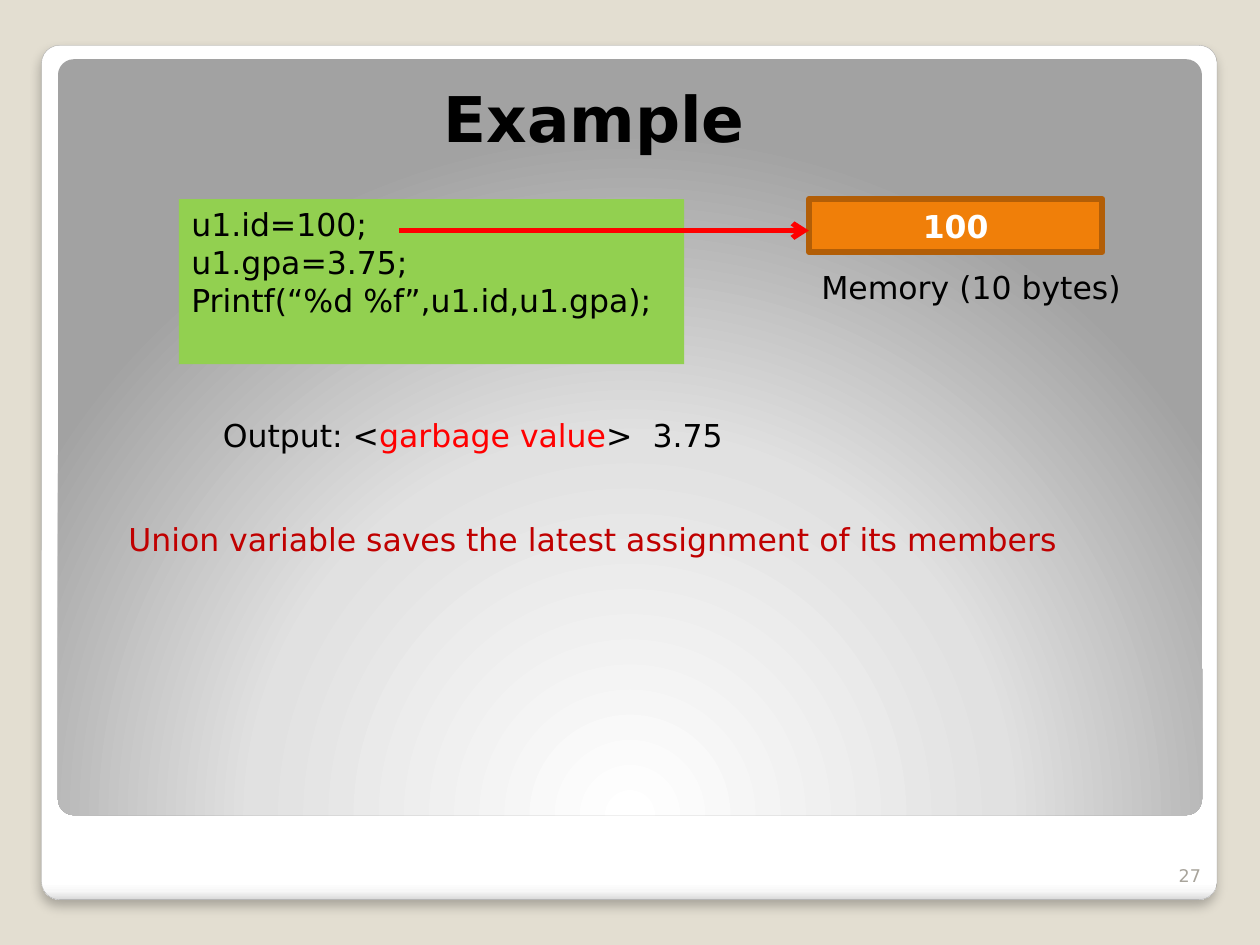
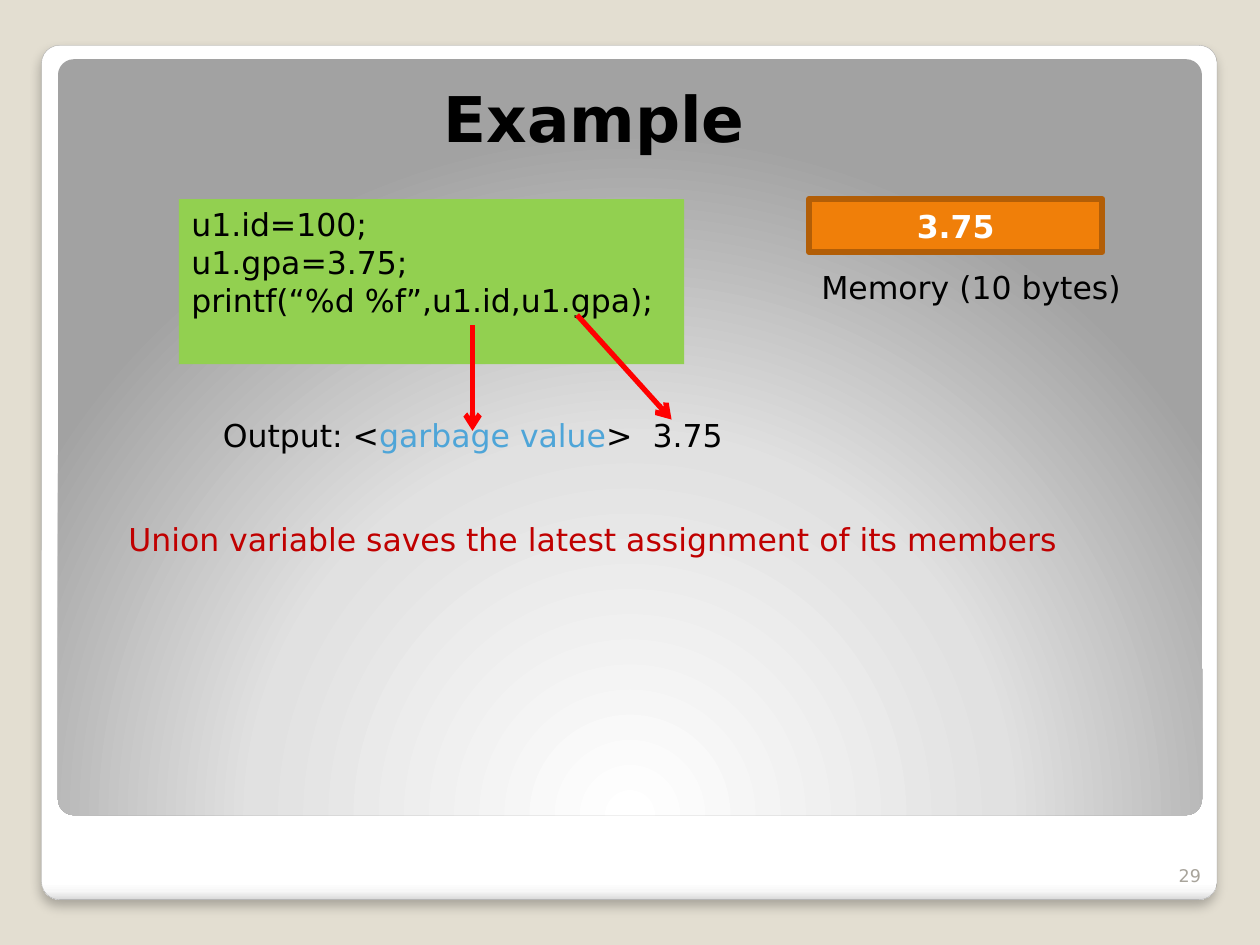
"""Build two example slides on how a union stores its members."""
from pptx import Presentation
from pptx.dml.color import RGBColor
from pptx.enum.shapes import MSO_CONNECTOR, MSO_SHAPE
from pptx.enum.text import MSO_ANCHOR, MSO_AUTO_SIZE, PP_ALIGN
from pptx.oxml import parse_xml
from pptx.oxml.ns import nsdecls, qn
from pptx.util import Inches, Pt

STRAIGHT = MSO_CONNECTOR.STRAIGHT
RECTANGLE, ROUNDED = MSO_SHAPE.RECTANGLE, MSO_SHAPE.ROUNDED_RECTANGLE
TOP, MIDDLE, BOTTOM = MSO_ANCHOR.TOP, MSO_ANCHOR.MIDDLE, MSO_ANCHOR.BOTTOM
LEFT, CENTER, RIGHT = PP_ALIGN.LEFT, PP_ALIGN.CENTER, PP_ALIGN.RIGHT
FIXED, GROW = MSO_AUTO_SIZE.NONE, MSO_AUTO_SIZE.SHAPE_TO_FIT_TEXT

FONT = "DejaVu Sans"
SAND = RGBColor(0xE3, 0xDE, 0xD1)
EDGE_GRAY = RGBColor(0xA4, 0xA4, 0xA4)
NUMBER_GRAY = RGBColor(0xA8, 0xA4, 0x9B)
BLACK = RGBColor(0, 0, 0)
WHITE = RGBColor(0xFF, 0xFF, 0xFF)
GREEN = RGBColor(0x92, 0xD0, 0x50)
ORANGE = RGBColor(0xF0, 0x7F, 0x09)
BROWN = RGBColor(0xB2, 0x5E, 0x07)
RED = RGBColor(0xFF, 0, 0)
DARK_RED = RGBColor(0xC0, 0, 0)
BLUE = RGBColor(0x4E, 0xA5, 0xD8)

CARD_STOPS = [(0, "FFFFFF"), (98, "FFFFFF"), (99, "F7F7F7"), (100, "DADADA")]
CARD_SHADE = '<a:lin ang="5400000" scaled="0"/>'
PANEL_STOPS = [(0, "FFFFFF"), (55, "E1E1E1"), (100, "A2A2A2")]
PANEL_SHADE = ('<a:path path="circle"><a:fillToRect l="50000" t="175000" '
               'r="50000" b="-75000"/></a:path>')
CARD_SHADOW = (f'<a:outerShdw {nsdecls("a")} blurRad="76200" dist="50800" '
               'dir="5400000" algn="tl" rotWithShape="0"><a:srgbClr val="000000">'
               '<a:alpha val="25000"/></a:srgbClr></a:outerShdw>')


def write(frame, lines, size=18, color=BLACK, bold=False, align=LEFT,
          anchor=TOP, wrap=False, fit=GROW):
    """Fill a frame with lines, each a text or a list of (text, color) spans."""
    frame.auto_size = fit
    frame.word_wrap = wrap
    frame.vertical_anchor = anchor
    for index, line in enumerate(lines):
        para = frame.add_paragraph() if index else frame.paragraphs[0]
        para.alignment = align
        spans = [(line, color)] if isinstance(line, str) else line
        for text, span_color in spans:
            span = para.add_run()
            span.text = text
            span.font.name = FONT
            span.font.size = Pt(size)
            span.font.bold = bold
            span.font.color.rgb = span_color


class Deck:
    """Holds the presentation, its shared style and the current page."""

    def __init__(self):
        self.presentation = Presentation()
        self.presentation.slide_width = Inches(10)
        self.presentation.slide_height = Inches(7.5)
        self.layout = self.presentation.slide_layouts.get_by_name("Title Only")
        self.page = None

    def decorate_layout(self):
        """Give the layout its background, card and panel."""
        fill = self.layout.background.fill
        fill.solid()
        fill.fore_color.rgb = SAND
        card = self.shape(ROUNDED, 0.33, 0.36, 9.33, 6.78, line=EDGE_GRAY, weight=0.16)
        panel = self.shape(ROUNDED, 0.46, 0.47, 9.08, 6)
        self.gradient(card, CARD_STOPS, CARD_SHADE)
        self.gradient(panel, PANEL_STOPS, PANEL_SHADE)
        effects = card.element.spPr.find(qn("a:effectLst"))
        effects.append(parse_xml(CARD_SHADOW))
        for position, shape in enumerate((card, panel), start=2):
            shape.adjustments[0] = 0.021
            self.layout.shapes.element.insert(position, shape.element)

    def gradient(self, shape, stops, shade):
        """Replace the empty fill of a shape by a gradient."""
        marks = "".join(f'<a:gs pos="{percent * 1000}"><a:srgbClr val="{color}"/></a:gs>'
                        for percent, color in stops)
        fill = parse_xml(f'<a:gradFill {nsdecls("a")} rotWithShape="1">'
                         f'<a:gsLst>{marks}</a:gsLst>{shade}</a:gradFill>')
        properties = shape.element.spPr
        properties.replace(properties.find(qn("a:noFill")), fill)

    def add_page(self, title, number):
        """Start a page with its title and page number."""
        first = self.page is None
        self.page = self.presentation.slides.add_slide(self.layout)
        if first:
            self.decorate_layout()
        heading = self.page.shapes.title
        heading.left, heading.top = Inches(3.42), Inches(0.58)
        heading.width, heading.height = Inches(2.62), Inches(0.71)
        write(heading.text_frame, [title], size=36, bold=True)
        self.text(9.13, 6.68, 0.5, 0.4, [number], size=10, color=NUMBER_GRAY,
                  align=RIGHT, anchor=BOTTOM, wrap=True, fit=FIXED)

    def text(self, left, top, width, height, lines, **style):
        """Add a text box."""
        box = self.page.shapes.add_textbox(Inches(left), Inches(top),
                                           Inches(width), Inches(height))
        write(box.text_frame, lines, **style)

    def shape(self, kind, left, top, width, height, fill=None, line=None,
              weight=1, lines=(), **style):
        """Add a preset shape with optional text."""
        shape = self.page.shapes.add_shape(kind, Inches(left), Inches(top),
                                           Inches(width), Inches(height))
        shape.shadow.inherit = False
        for part, color in ((shape.fill, fill), (shape.line.fill, line)):
            if color is None:
                part.background()
            else:
                part.solid()
                part.fore_color.rgb = color
        if line is not None:
            shape.line.width = Pt(weight)
        if lines:
            write(shape.text_frame, lines, wrap=True, fit=FIXED, **style)
        return shape

    def arrow(self, start, end):
        """Add a red arrow between two points."""
        points = [Inches(value) for value in (*start, *end)]
        arrow = self.page.shapes.add_connector(STRAIGHT, *points)
        arrow.line.color.rgb = RED
        arrow.line.width = Pt(3)
        arrow.line._get_or_add_ln().append(
            parse_xml(f'<a:tailEnd {nsdecls("a")} type="arrow"/>'))
        arrow.element.spPr.append(parse_xml(f'<a:effectLst {nsdecls("a")}/>'))


def add_example(deck, number, print_name, stored, garbage_color, arrows):
    """Add one page of the union example."""
    deck.add_page("Example", number)
    code = ["u1.id=100;", "u1.gpa=3.75;", f"{print_name}(“%d %f”,u1.id,u1.gpa);"]
    deck.shape(RECTANGLE, 1.42, 1.58, 4.01, 1.31, fill=GREEN, lines=code)
    deck.text(0.92, 4.08, 7.66, 0.4,
              ["Union variable saves the latest assignment of its members"],
              color=DARK_RED)
    output = [("Output: <", BLACK), ("garbage value", garbage_color), (">  3.75", BLACK)]
    deck.text(1.67, 3.25, 4.24, 0.4, [output])
    deck.shape(RECTANGLE, 6.42, 1.58, 2.33, 0.42, fill=ORANGE, line=BROWN, weight=3.35,
               lines=[stored], color=WHITE, bold=True, align=CENTER, anchor=MIDDLE)
    deck.text(6.42, 2.08, 2.64, 0.4, ["Memory (10 bytes)"])
    for start, end in arrows:
        deck.arrow(start, end)


def main():
    """Build and save the deck."""
    deck = Deck()
    add_example(deck, "27", "Printf", "100", RED, [((3.17, 1.83), (6.42, 1.83))])
    add_example(deck, "29", "printf", "3.75", BLUE,
                [((3.75, 2.58), (3.75, 3.42)), ((4.58, 2.5), (5.33, 3.33))])
    deck.presentation.save("out.pptx")


if __name__ == "__main__":
    main()
